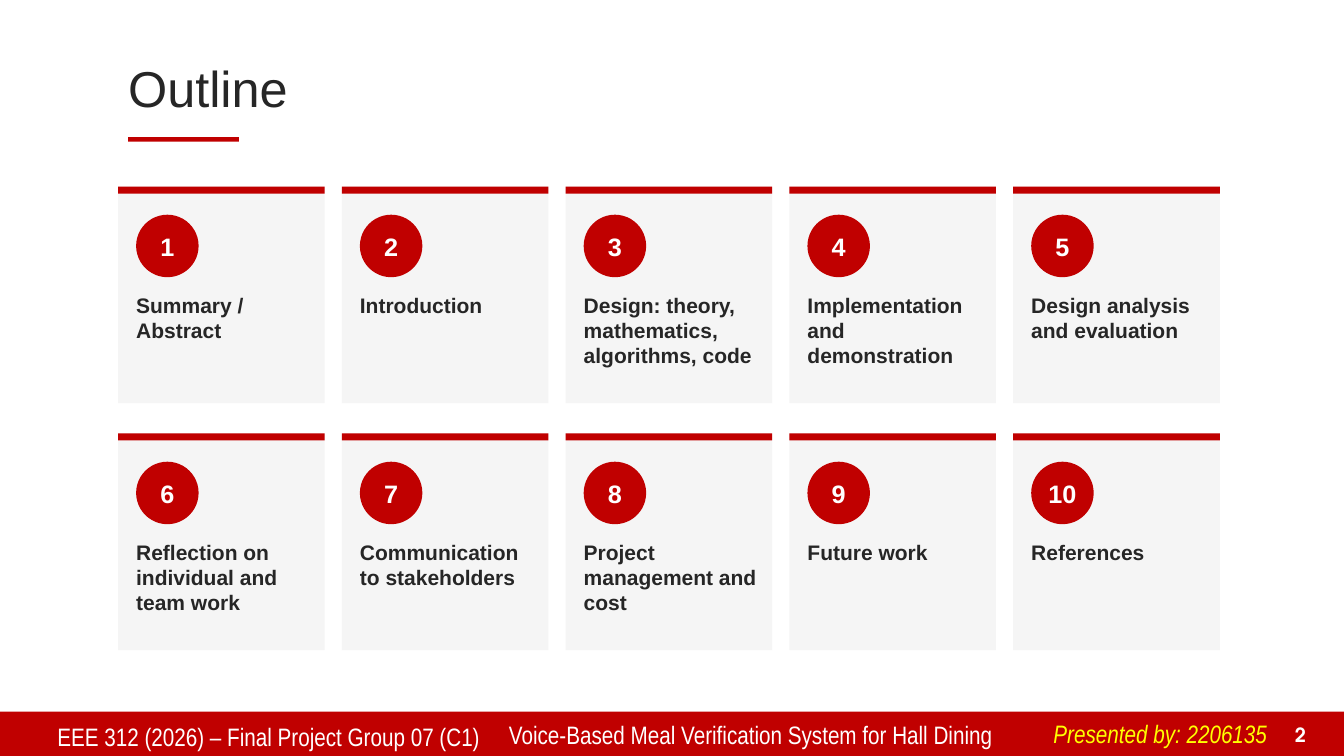
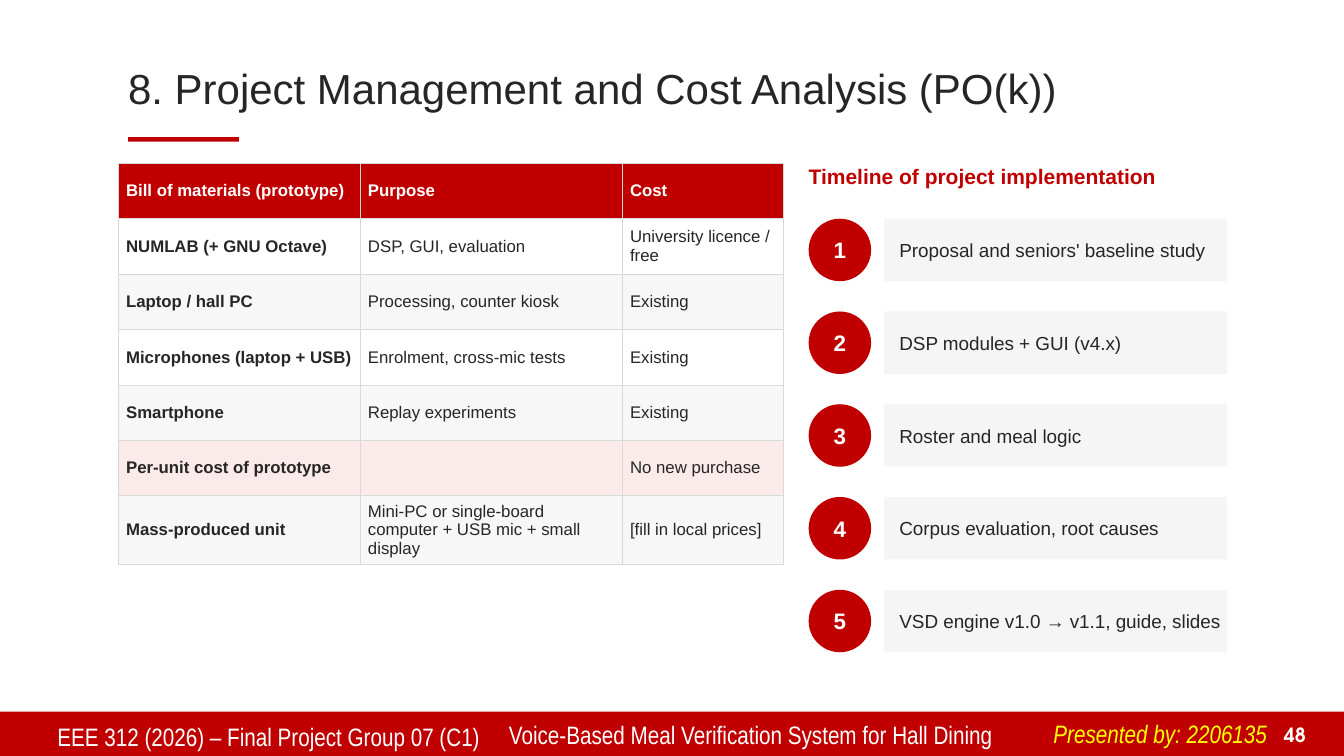
import pptx
import pptx.dml.color
import pptx.enum.shapes
import pptx.enum.text
import pptx.oxml
import pptx.oxml.ns
import pptx.util

WIDE = pptx.util.Inches(13.33)
HIGH = pptx.util.Inches(7.5)
RED, INK, WHITE, YELLOW = "C00000", "262626", "FFFFFF", "FFFF00"
PALE, STRIPE, PINK, GRID = "F5F5F5", "F7F7F7", "FBEAEA", "D9D9D9"
LEFT = 8.78
DOT = (4.65, 8.27)
KIND = pptx.enum.shapes.MSO_SHAPE
ANCHOR = pptx.enum.text.MSO_ANCHOR
ALIGN = pptx.enum.text.PP_ALIGN

TOPICS = [
    "Summary / Abstract",
    "Introduction",
    "Design: theory, mathematics, algorithms, code",
    "Implementation and demonstration",
    "Design analysis and evaluation",
    "Reflection on individual and team work",
    "Communication to stakeholders",
    "Project management and cost",
    "Future work",
    "References",
]
COSTS = [
    ("Bill of materials (prototype)", "Purpose", "Cost"),
    ("NUMLAB (+ GNU Octave)", "DSP, GUI, evaluation", "University licence / free"),
    ("Laptop / hall PC", "Processing, counter kiosk", "Existing"),
    ("Microphones (laptop + USB)", "Enrolment, cross-mic tests", "Existing"),
    ("Smartphone", "Replay experiments", "Existing"),
    ("Per-unit cost of prototype", "", "No new purchase"),
    ("Mass-produced unit", "Mini-PC or single-board computer + USB mic + small display",
     "[fill in local prices]"),
]
FILLS = [RED, WHITE, STRIPE, WHITE, STRIPE, PINK, STRIPE]
STEPS = [
    "Proposal and seniors' baseline study",
    "DSP modules + GUI (v4.x)",
    "Roster and meal logic",
    "Corpus evaluation, root causes",
    "VSD engine v1.0 → v1.1, guide, slides",
]


def color(code):
    return pptx.dml.color.RGBColor.from_string(code)


def across(share):
    return round(WIDE * share / 100)


def down(share):
    return round(HIGH * share / 100)


def place(x, y, wide, high):
    return across(x), down(y), across(wide), down(high)


def write(frame, text, size, tint, bold=False, italic=False, face="Arial",
          align=ALIGN.LEFT, anchor=ANCHOR.TOP, pad=None):
    frame.text = text
    frame.word_wrap = True
    frame.vertical_anchor = anchor
    if pad:
        left, top, right, base = pad
        frame.margin_left, frame.margin_right = across(left), across(right)
        frame.margin_top, frame.margin_bottom = down(top), down(base)
    line = frame.paragraphs[0]
    line.alignment = align
    for run in line.runs:
        font = run.font
        font.name, font.size = face, pptx.util.Pt(size)
        font.bold, font.italic = bold, italic
        font.color.rgb = color(tint)


def block(slide, box, fill, kind=KIND.RECTANGLE):
    shape = slide.shapes.add_shape(kind, *place(*box))
    shape.shadow.inherit = False
    shape.fill.solid()
    shape.fill.fore_color.rgb = color(fill)
    shape.line.fill.background()
    return shape


def label(slide, box, text, size, tint, **style):
    shape = slide.shapes.add_textbox(*place(*box))
    write(shape.text_frame, text, size, tint, **style)


def badge(slide, x, y, count, size):
    shape = block(slide, (x, y, *DOT), RED, KIND.OVAL)
    write(shape.text_frame, str(count), size, WHITE, bold=True,
          align=ALIGN.CENTER, anchor=ANCHOR.MIDDLE, pad=(0, 0, 0, 0))


def start(deck, title, size, page):
    layout = deck.slide_layouts.get_by_name("Title Only")
    slide = deck.slides.add_slide(layout)
    if len(deck.slides) == 1:
        band = block(slide, (0, 94.13, 100, 5.87), RED)
        layout.shapes.element.append(band.element)
    head = slide.shapes.title
    head.left, head.top, head.width, head.height = place(LEFT, 6.67, 82.52, 10.67)
    write(head.text_frame, title, size, INK, anchor=ANCHOR.MIDDLE)
    head.text_frame.auto_size = pptx.enum.text.MSO_AUTO_SIZE.NONE
    head.text_frame.paragraphs[0].line_spacing = 0.9
    block(slide, (9.53, 18.13, 8.25, 0.6), RED)
    narrow = {"size": 18, "face": "Arial Narrow"}
    label(slide, (3.53, 94.8, 33.38, 5.2),
          "EEE 312 (2026) – Final Project Group 07 (C1)", tint=WHITE, **narrow)
    label(slide, (37.13, 94.53, 40.14, 5.47),
          "Voice-Based Meal Verification System for Hall Dining", tint=WHITE, **narrow)
    label(slide, (77.64, 94.4, 18.15, 5.33),
          "Presented by: 2206135", tint=YELLOW, italic=True, **narrow)
    label(slide, (93.62, 94.8, 4.28, 4.53), str(page), 14, WHITE, bold=True,
          face="TeX Gyre Adventor", align=ALIGN.RIGHT, anchor=ANCHOR.BOTTOM)
    return slide


def card(slide, index, text):
    row, col = divmod(index, 5)
    x, y = LEFT + col * 16.65, 24.67 + row * 32.67
    panel = block(slide, (x, y, 15.38, 28.67), PALE)
    write(panel.text_frame, text, 15, INK, bold=True, pad=(1.35, 14, 0.9, 0))
    block(slide, (x, y, 15.38, 0.93), RED)
    badge(slide, x + 1.35, y + 3.73, index + 1, 18)


def step(slide, index, text):
    y = 28.93 + index * 12.27
    badge(slide, 60.17, y, index + 1, 16)
    panel = block(slide, (65.79, y, 25.51, DOT[1]), PALE)
    write(panel.text_frame, text, 13.5, INK, anchor=ANCHOR.MIDDLE,
          pad=(1.13, 0, 0.38, 0))


def border(frame):
    space = pptx.oxml.ns.nsdecls("a")
    for cell in frame.element.iter(pptx.oxml.ns.qn("a:tcPr")):
        for index, side in enumerate("LRTB"):
            cell.insert(index, pptx.oxml.parse_xml(
                f'<a:ln{side} {space} w="6350"><a:solidFill>'
                f'<a:srgbClr val="{GRID}"/></a:solidFill></a:ln{side}>'))


def table(slide):
    count = len(COSTS)
    frame = slide.shapes.add_table(count, 3, *place(LEFT, 21.6, 49.5, 7.33 * count))
    grid = frame.table
    grid.horz_banding = False
    for col, share in zip(grid.columns, (18, 19.5, 12)):
        col.width = across(share)
    for row, (texts, fill) in enumerate(zip(COSTS, FILLS)):
        grid.rows[row].height = down(7.33)
        for col, text in enumerate(texts):
            cell = grid.cell(row, col)
            write(cell.text_frame, text, 12, INK if row else WHITE,
                  bold=row == 0 or col == 0)
            cell.vertical_anchor = ANCHOR.MIDDLE
            cell.margin_left = cell.margin_right = across(0.6)
            cell.margin_top = cell.margin_bottom = down(0.53)
            cell.fill.solid()
            cell.fill.fore_color.rgb = color(fill)
    border(frame)


def main():
    deck = pptx.Presentation()
    deck.slide_width, deck.slide_height = WIDE, HIGH

    slide = start(deck, "Outline", 36, 2)
    for index, text in enumerate(TOPICS):
        card(slide, index, text)

    slide = start(deck, "8. Project Management and Cost Analysis (PO(k))", 30, 48)
    table(slide)
    label(slide, (60.17, 21.6, 31.13, 5.33), "Timeline of project implementation",
          15, RED, bold=True, pad=(0, 0, 0, 0))
    for index, text in enumerate(STEPS):
        step(slide, index, text)

    deck.save("out.pptx")


if __name__ == "__main__":
    main()
